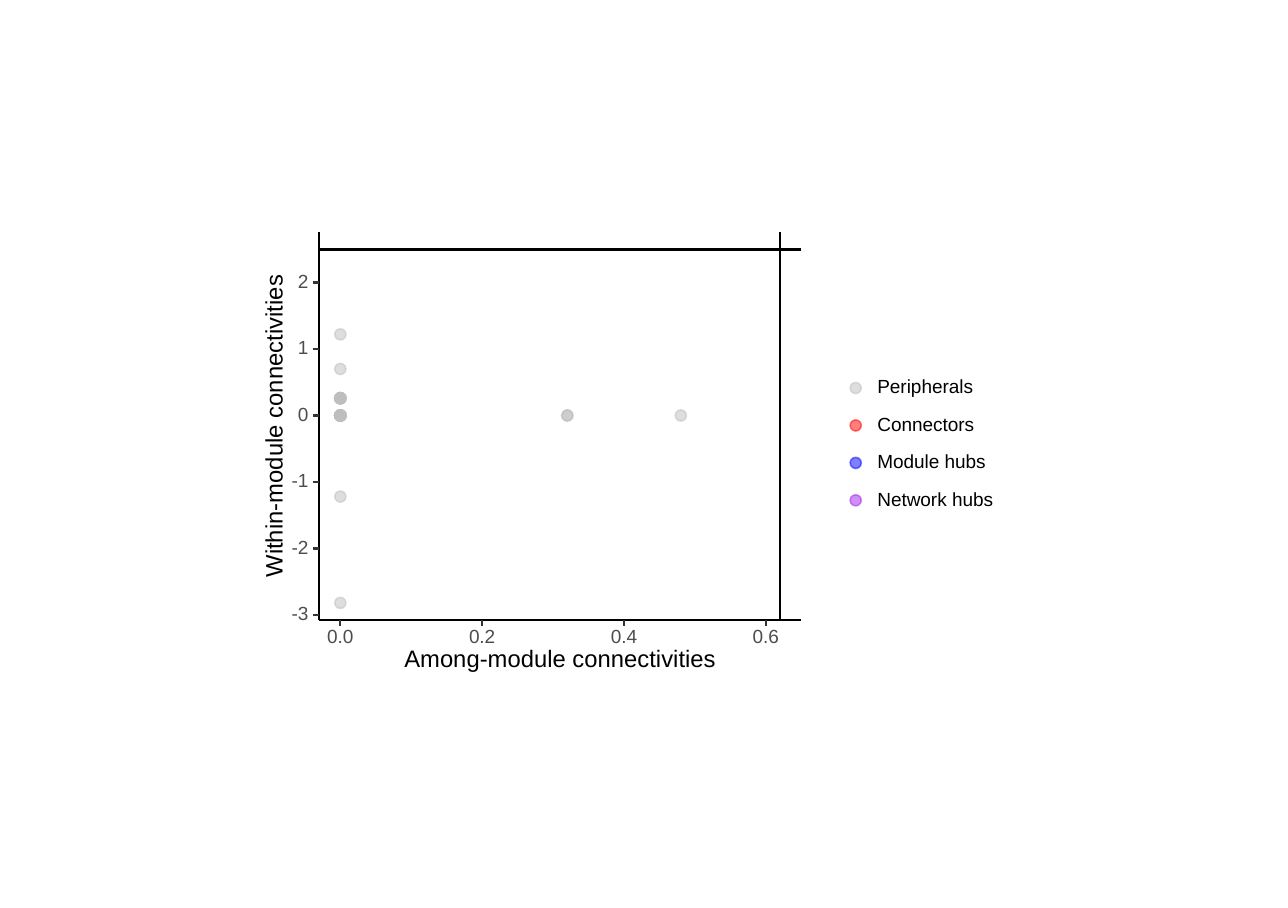
from lxml.etree import SubElement
from pptx import Presentation
from pptx.dml.color import RGBColor
from pptx.enum.shapes import MSO_CONNECTOR, MSO_SHAPE
from pptx.enum.text import MSO_ANCHOR, PP_ALIGN
from pptx.oxml.ns import qn
from pptx.util import Pt

COLORS = {
    "text": "000000",
    "axis": "000000",
    "tick": "333333",
    "tick label": "4D4D4D",
    "Peripherals": "BEBEBE",
    "Connectors": "FF0000",
    "Module hubs": "0000FF",
    "Network hubs": "A020F0",
}
ROLES = ["Peripherals", "Connectors", "Module hubs", "Network hubs"]
NODES = [
    (0, 1.22, 1), (0, 0.7, 1), (0, 0.26, 8), (0, 0, 12), (0, -1.22, 1),
    (0, -2.82, 1), (0.32, 0, 2), (0.48, 0, 1),
]
AMONG_MIN, AMONG_MAX = -0.03, 0.65
WITHIN_MIN, WITHIN_MAX = -3.08, 2.76
AMONG_LIMIT, WITHIN_LIMIT = 0.62, 2.5
AMONG_TICKS = [0, 0.2, 0.4, 0.6]
WITHIN_TICKS = range(-3, 3)
TICK_LENGTH = 2.74
DOT_SIZE = 5.2


def color(key):
    return RGBColor.from_string(COLORS[key])


def write(slide, text, center_x, center_y, width, size=8.8, fill="text",
          align=PP_ALIGN.CENTER, rotation=0):
    height = size + 2
    box = slide.shapes.add_textbox(
        Pt(center_x - width / 2), Pt(center_y - height / 2), Pt(width), Pt(height))
    box.rotation = rotation
    frame = box.text_frame
    frame.word_wrap = True
    frame.vertical_anchor = MSO_ANCHOR.MIDDLE
    frame.margin_left = frame.margin_right = frame.margin_top = frame.margin_bottom = 0
    paragraph = frame.paragraphs[0]
    paragraph.alignment = align
    run = paragraph.add_run()
    run.text = text
    run.font.name, run.font.size = "Arial", Pt(size)
    run.font.color.rgb = color(fill)


def draw_line(slide, x1, y1, x2, y2, stroke="axis"):
    line = slide.shapes.add_connector(
        MSO_CONNECTOR.STRAIGHT, Pt(x1), Pt(y1), Pt(x2), Pt(y2))
    line.line.color.rgb = color(stroke)
    line.line.width = Pt(1.07)
    SubElement(line._element.spPr, qn("a:effectLst"))


def draw_dot(slide, center_x, center_y, role):
    dot = slide.shapes.add_shape(
        MSO_SHAPE.OVAL, Pt(center_x - DOT_SIZE / 2), Pt(center_y - DOT_SIZE / 2),
        Pt(DOT_SIZE), Pt(DOT_SIZE))
    dot.shadow.inherit = False
    dot.fill.solid()
    dot.fill.fore_color.rgb = color(role)
    dot.line.color.rgb = color(role)
    dot.line.width = Pt(0.71)
    for paint in dot._element.spPr.iter(qn("a:srgbClr")):
        SubElement(paint, qn("a:alpha"), val="50000")


def connectivity_plot(slide, left, top, width, height):
    right, bottom = left + width, top + height

    def among_x(among):
        return left + width * (among - AMONG_MIN) / (AMONG_MAX - AMONG_MIN)

    def within_y(within):
        return bottom - height * (within - WITHIN_MIN) / (WITHIN_MAX - WITHIN_MIN)

    for among, within, count in NODES:
        for _ in range(count):
            draw_dot(slide, among_x(among), within_y(within), "Peripherals")

    limit_x, limit_y = among_x(AMONG_LIMIT), within_y(WITHIN_LIMIT)
    draw_line(slide, limit_x, bottom, limit_x, top)
    draw_line(slide, left, limit_y, right, limit_y)
    draw_line(slide, left, bottom, left, top)
    draw_line(slide, left, bottom, right, bottom)

    for within in WITHIN_TICKS:
        y = within_y(within)
        draw_line(slide, left - TICK_LENGTH, y, left, y, stroke="tick")
        write(slide, str(within), left - 9.9, y - 0.9, 10,
              fill="tick label", align=PP_ALIGN.RIGHT)
    for among in AMONG_TICKS:
        x = among_x(among)
        draw_line(slide, x, bottom, x, bottom + TICK_LENGTH, stroke="tick")
        write(slide, f"{among:.1f}", x, bottom + 7.2, 20, fill="tick label")

    write(slide, "Among-module connectivities", left + width / 2, bottom + 17.6, 160, size=11)
    write(slide, "Within-module connectivities", left - 21.2, top + height / 2, 160,
          size=11, rotation=270)


def role_legend(slide, left, top, width, pitch):
    text_left = left + 12.6
    text_width = width - 12.6
    for row, role in enumerate(ROLES):
        y = top + row * pitch
        draw_dot(slide, left + DOT_SIZE / 2, y, role)
        write(slide, role, text_left + text_width / 2, y - 0.9, text_width,
              align=PP_ALIGN.LEFT)


deck = Presentation()
deck.slide_width, deck.slide_height = Pt(595.44), Pt(419.76)
roles_slide = deck.slides.add_slide(deck.slide_layouts[6])
connectivity_plot(roles_slide, left=147.5, top=107.3, width=223, height=179.4)
role_legend(roles_slide, left=393, top=179.4, width=75, pitch=17.3)
deck.save("out.pptx")
